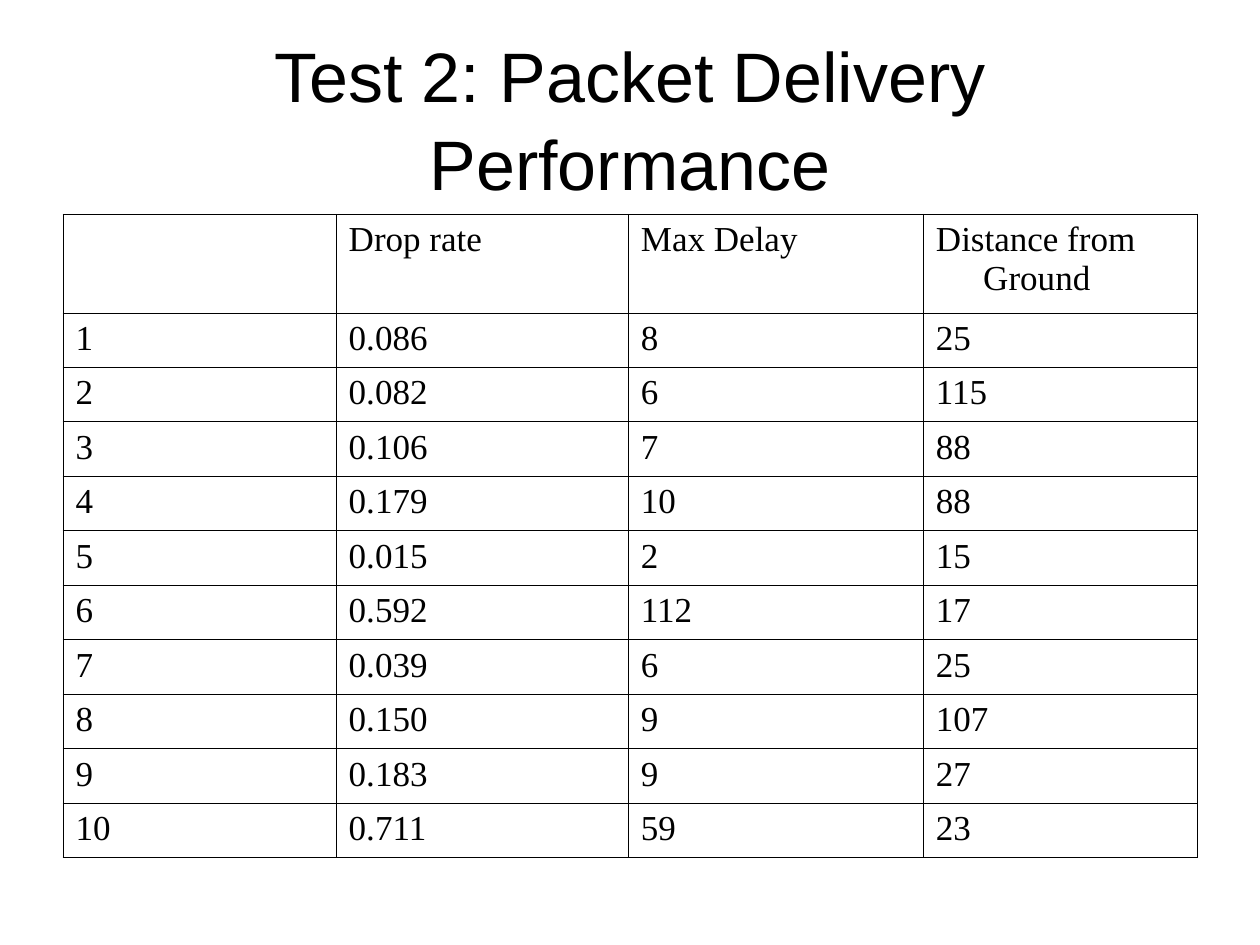
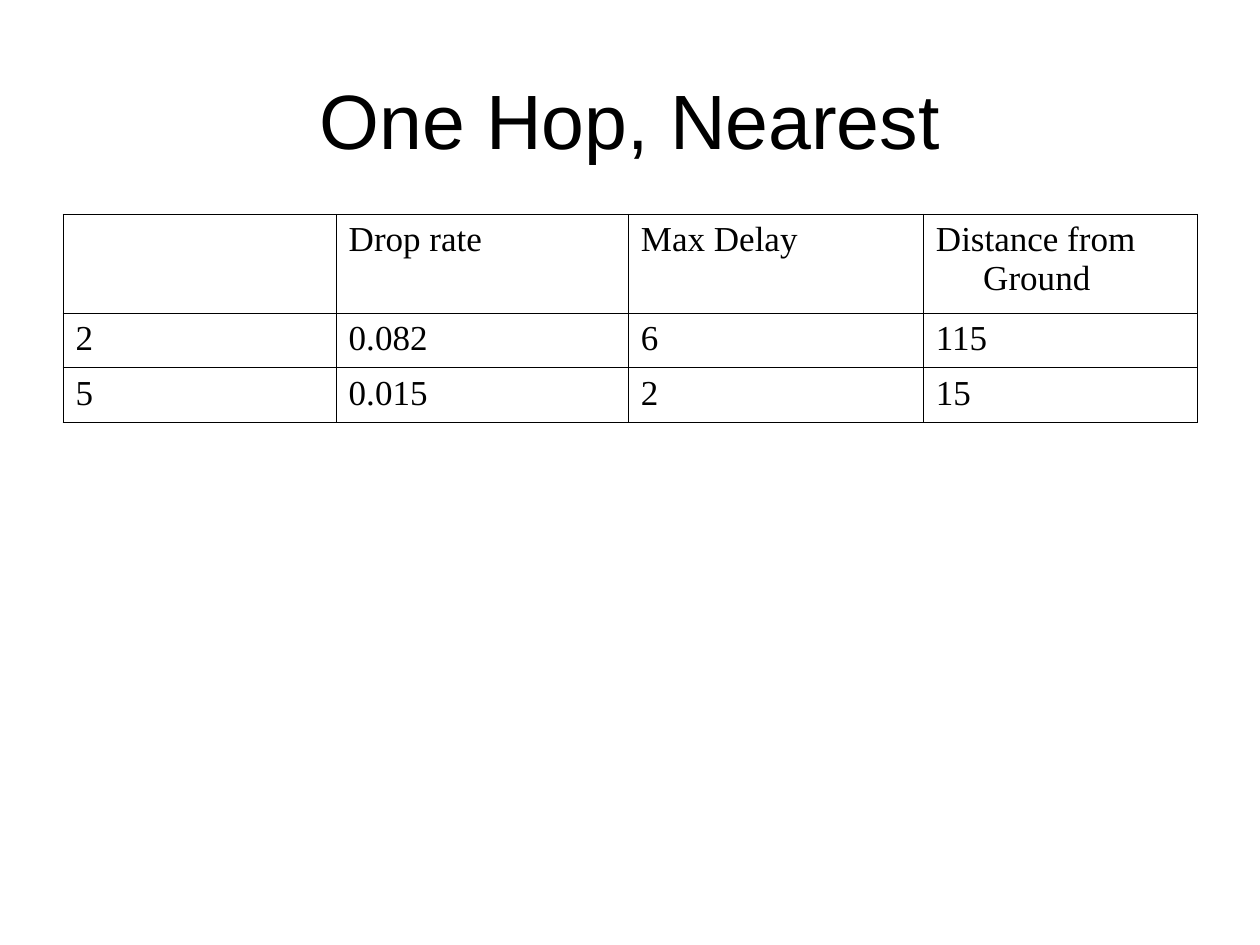
from dataclasses import dataclass

from lxml.etree import SubElement
from pptx import Presentation
from pptx.dml.color import RGBColor
from pptx.enum.text import MSO_ANCHOR, PP_ALIGN
from pptx.oxml.ns import qn
from pptx.util import Pt

COLORS = {"text": "000000", "border": "000000"}
LEFT, WIDTH = Pt(36), Pt(648)
TITLE_PLACE = {"left": LEFT, "top": Pt(21.6), "width": WIDTH, "height": Pt(90)}
INSETS = {
    "margin_left": Pt(7.2),
    "margin_right": Pt(7.2),
    "margin_top": Pt(3.6),
    "margin_bottom": Pt(3.6),
}
TITLE_FRAME = INSETS | {"word_wrap": True, "vertical_anchor": MSO_ANCHOR.MIDDLE}
CELL_FORMAT = INSETS | {"vertical_anchor": MSO_ANCHOR.TOP}

TABLE_TOP = Pt(122.4)
HEADER_HEIGHT = Pt(56.4)
COLUMN_WIDTHS = (Pt(156.1), Pt(167), Pt(168.6), Pt(156.3))
HANGING_INDENT = Pt(27)
BORDER_WIDTH = Pt(0.45)

HEADINGS = ("", "Drop rate", "Max Delay", "Distance from Ground")
MEASUREMENTS = (
    ("1", "0.086", "8", "25"),
    ("2", "0.082", "6", "115"),
    ("3", "0.106", "7", "88"),
    ("4", "0.179", "10", "88"),
    ("5", "0.015", "2", "15"),
    ("6", "0.592", "112", "17"),
    ("7", "0.039", "6", "25"),
    ("8", "0.150", "9", "107"),
    ("9", "0.183", "9", "27"),
    ("10", "0.711", "59", "23"),
)


@dataclass(frozen=True)
class ResultSlide:
    title: str
    title_size: Pt
    measurements: tuple
    row_height: Pt


RESULT_SLIDES = (
    ResultSlide("Test 2: Packet Delivery Performance", Pt(40), MEASUREMENTS, Pt(31.14)),
    ResultSlide(
        "One Hop, Nearest",
        Pt(44),
        tuple(row for row in MEASUREMENTS if row[0] in ("2", "5")),
        Pt(31.3),
    ),
)


def apply_format(target, values: dict) -> None:
    for attribute, value in values.items():
        setattr(target, attribute, value)


def format_font(paragraph, name: str, size: Pt) -> None:
    apply_format(paragraph.font, {"name": name, "size": size, "bold": False})
    paragraph.font.color.rgb = RGBColor.from_string(COLORS["text"])


def draw_title(slide, result: ResultSlide) -> None:
    title = slide.shapes.title
    apply_format(title, TITLE_PLACE)
    title.text_frame.text = result.title
    apply_format(title.text_frame, TITLE_FRAME)
    heading = title.text_frame.paragraphs[0]
    apply_format(heading, {"alignment": PP_ALIGN.CENTER, "line_spacing": 1.05})
    format_font(heading, "Arial", result.title_size)


def add_borders(cell) -> None:
    properties = cell._tc.get_or_add_tcPr()
    for side in ("a:lnL", "a:lnR", "a:lnT", "a:lnB"):
        line = SubElement(properties, qn(side), w=str(BORDER_WIDTH))
        fill = SubElement(line, qn("a:solidFill"))
        SubElement(fill, qn("a:srgbClr"), val=COLORS["border"])


def fill_cell(cell, content: str) -> None:
    apply_format(cell, CELL_FORMAT)
    add_borders(cell)
    cell.fill.background()
    if not content:
        return
    cell.text = content
    entry = cell.text_frame.paragraphs[0]
    indent = {"marL": HANGING_INDENT, "indent": -HANGING_INDENT}
    for attribute, value in indent.items():
        entry._p.get_or_add_pPr().set(attribute, str(value))
    format_font(entry, "Times New Roman", Pt(20))


def draw_results(slide, result: ResultSlide) -> None:
    rows = (HEADINGS, *result.measurements)
    height = HEADER_HEIGHT + result.row_height * len(result.measurements)
    table = slide.shapes.add_table(
        len(rows), len(HEADINGS), LEFT, TABLE_TOP, WIDTH, height
    ).table
    apply_format(table, {"first_row": False, "horz_banding": False})
    for column, width in zip(table.columns, COLUMN_WIDTHS):
        column.width = width
    for index, (row, contents) in enumerate(zip(table.rows, rows)):
        row.height = result.row_height if index else HEADER_HEIGHT
        for cell, content in zip(row.cells, contents):
            fill_cell(cell, content)


def main() -> None:
    presentation = Presentation()
    apply_format(presentation, {"slide_width": Pt(720), "slide_height": Pt(540)})
    title_only = presentation.slide_layouts[5]
    for result in RESULT_SLIDES:
        slide = presentation.slides.add_slide(title_only)
        draw_title(slide, result)
        draw_results(slide, result)
    presentation.save("out.pptx")


if __name__ == "__main__":
    main()
